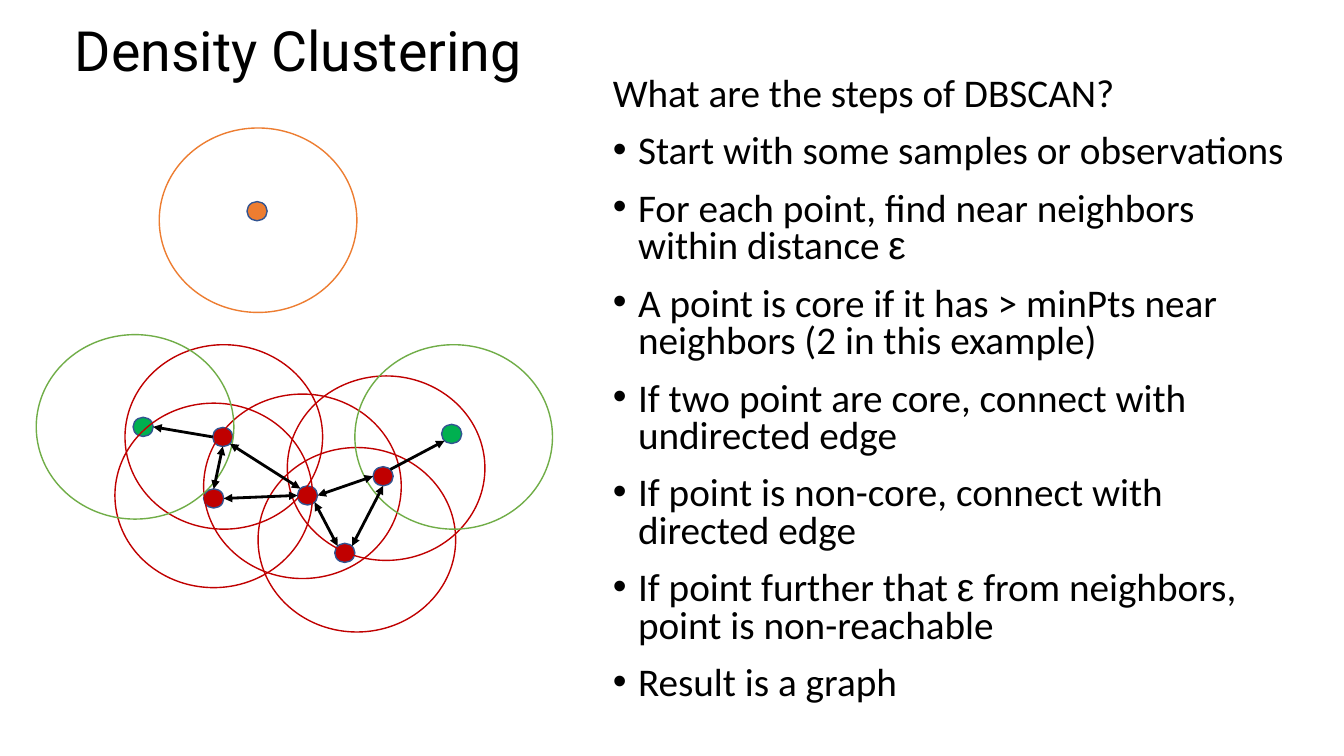
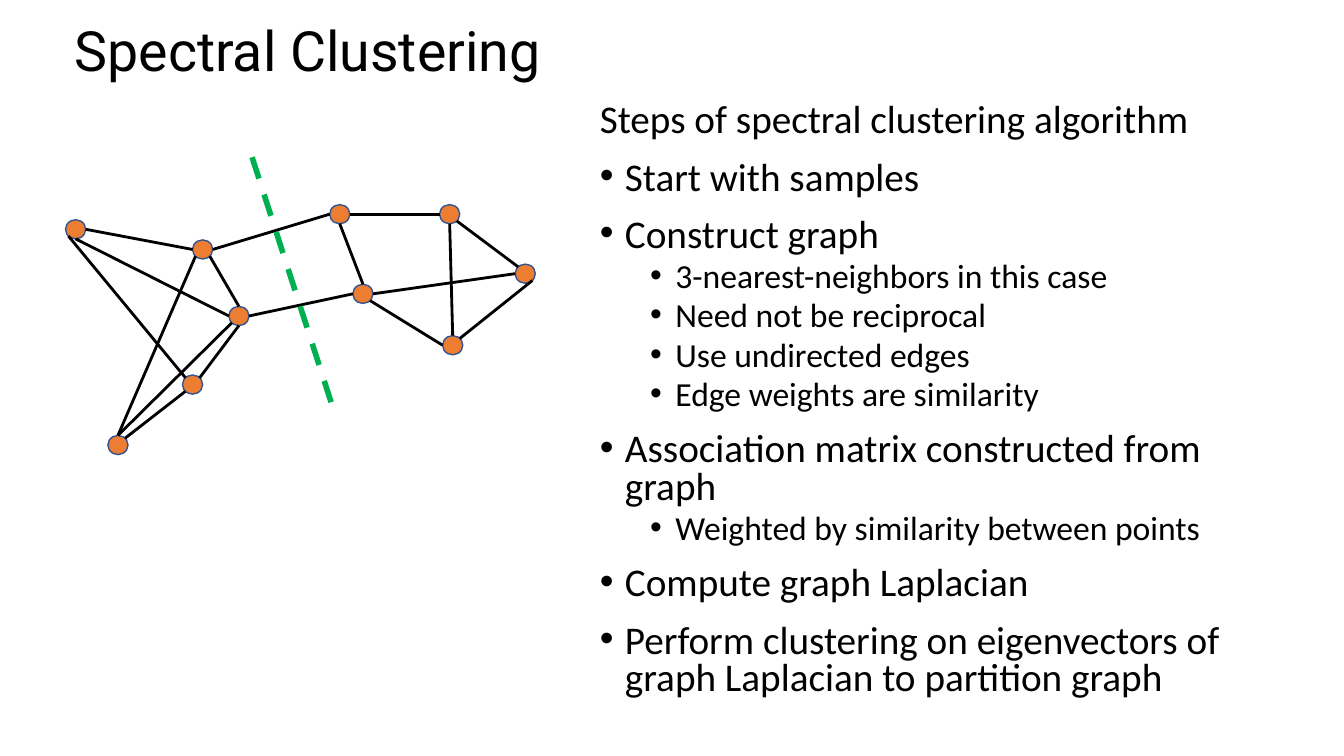
"""Build two slides on density and spectral clustering."""
from dataclasses import dataclass

from lxml.etree import SubElement
from pptx import Presentation
from pptx.dml.color import RGBColor
from pptx.enum.dml import MSO_LINE
from pptx.enum.shapes import MSO_CONNECTOR, MSO_SHAPE
from pptx.enum.text import MSO_ANCHOR, MSO_AUTO_SIZE, PP_ALIGN
from pptx.oxml.ns import qn
from pptx.util import Pt

PX = 9144
DOT_WIDTH, DOT_HEIGHT = 20, 19
RING_WIDTH, RING_HEIGHT = 196, 183
DIAGONAL = 0.71
SITES = {
    "top": (0, -1), "bottom": (0, 1), "left": (-1, 0), "right": (1, 0),
    "top left": (-DIAGONAL, -DIAGONAL), "top right": (DIAGONAL, -DIAGONAL),
    "bottom left": (-DIAGONAL, DIAGONAL), "bottom right": (DIAGONAL, DIAGONAL),
}


@dataclass(frozen=True)
class Theme:
    ink: str = "000000"
    dot_outline: str = "325491"
    core: str = "C00000"
    border: str = "00B050"
    border_ring: str = "70AD47"
    sample: str = "ED7D31"
    cut: str = "00B050"
    title_font: str = "Roboto"
    body_font: str = "Calibri"
    symbol_font: str = "Arial"
    title_size: float = 39.6
    body_sizes: tuple = (28, 24)
    space_before: tuple = (14, 5)
    indents: tuple = (25, 75)
    hanging: int = 25


class Deck:
    def __init__(self, theme):
        self.theme = theme
        self.presentation = Presentation()
        self.presentation.slide_width = 1333 * PX
        self.presentation.slide_height = 750 * PX
        self.slide = None

    def style_run(self, run, font, size):
        run.font.name = font
        run.font.size = Pt(size)
        run.font.color.rgb = RGBColor.from_string(self.theme.ink)

    def add_slide(self, heading):
        self.slide = self.presentation.slides.add_slide(self.presentation.slide_layouts[5])
        title = self.slide.shapes.title
        title.left, title.top, title.width, title.height = (n * PX for n in (64, 24, 1150, 58))
        frame = title.text_frame
        frame.text = heading
        frame.auto_size = MSO_AUTO_SIZE.NONE
        frame.vertical_anchor = MSO_ANCHOR.MIDDLE
        paragraph = frame.paragraphs[0]
        paragraph.alignment = PP_ALIGN.LEFT
        paragraph.line_spacing = 0.9
        self.style_run(paragraph.runs[0], self.theme.title_font, self.theme.title_size)

    def add_steps(self, box, question, steps):
        frame = self.slide.shapes.add_textbox(*(n * PX for n in box)).text_frame
        frame.word_wrap = True
        self.fill_paragraph(frame.paragraphs[0], question, 0)
        for level, step in steps:
            paragraph = frame.add_paragraph()
            self.fill_paragraph(paragraph, step, level)
            self.add_bullet(paragraph, level)

    def fill_paragraph(self, paragraph, wording, level):
        paragraph.level = level
        paragraph.line_spacing = 0.8
        paragraph.space_before = Pt(self.theme.space_before[level])
        for piece in filter(None, wording.partition("ε")):
            run = paragraph.add_run()
            run.text = piece
            font = self.theme.symbol_font if piece == "ε" else self.theme.body_font
            self.style_run(run, font, self.theme.body_sizes[level])

    def add_bullet(self, paragraph, level):
        properties = paragraph._p.get_or_add_pPr()
        properties.set("marL", str(self.theme.indents[level] * PX))
        properties.set("indent", str(-self.theme.hanging * PX))
        SubElement(properties, qn("a:buFont"), typeface=self.theme.symbol_font)
        SubElement(properties, qn("a:buChar"), char="•")

    def add_ellipse(self, left, top, width, height, outline, fill=None):
        ellipse = self.slide.shapes.add_shape(
            MSO_SHAPE.OVAL, *(n * PX for n in (left, top, width, height)))
        ellipse.shadow.inherit = False
        ellipse.line.color.rgb = RGBColor.from_string(outline)
        ellipse.line.width = Pt(1)
        if fill:
            ellipse.fill.solid()
            ellipse.fill.fore_color.rgb = RGBColor.from_string(fill)
        else:
            ellipse.fill.background()
        return ellipse

    def add_dot(self, left, top, fill):
        return self.add_ellipse(left, top, DOT_WIDTH, DOT_HEIGHT, self.theme.dot_outline, fill)

    def add_ring(self, left, top, outline):
        return self.add_ellipse(left, top, RING_WIDTH, RING_HEIGHT, outline)

    def add_line(self, start, end, color, width, dash=None, arrows=()):
        line = self.slide.shapes.add_connector(
            MSO_CONNECTOR.STRAIGHT, *(round(n) for n in (*start, *end)))
        line.line.color.rgb = RGBColor.from_string(color)
        line.line.width = Pt(width)
        if dash:
            line.line.dash_style = dash
        for arrow in arrows:
            SubElement(line.line._get_or_add_ln(), qn(f"a:{arrow}"), type="triangle")
        SubElement(line._element.spPr, qn("a:effectLst"))

    def add_edge(self, start, start_site, end, end_site, arrows=()):
        self.add_line(self.site(start, start_site), self.site(end, end_site),
                      self.theme.ink, 2, arrows=arrows)

    @staticmethod
    def site(dot, name):
        across, down = SITES[name]
        return (dot.left + dot.width * (1 + across) / 2,
                dot.top + dot.height * (1 + down) / 2)


def density_slide(deck):
    theme = deck.theme
    deck.add_slide("Density Clustering")
    deck.add_steps((598, 72, 699, 666), "What are the steps of DBSCAN?", [
        (0, "Start with some samples or observations"),
        (0, "For each point, find near neighbors within distance ε"),
        (0, "A point is core if it has > minPts near neighbors (2 in this example)"),
        (0, "If two point are core, connect with undirected edge"),
        (0, "If point is non-core, connect with directed edge"),
        (0, "If point further that ε from neighbors, point is non-reachable"),
        (0, "Result is a graph"),
    ])
    points = {
        "upper": (211, 424, theme.core), "lower": (202, 485, theme.core),
        "hub": (295, 482, theme.core), "east": (370, 463, theme.core),
        "south": (332, 539, theme.core), "west border": (132, 414, theme.border),
        "east border": (438, 421, theme.border), "outlier": (245, 200, theme.sample),
    }
    dots = {name: deck.add_dot(*point) for name, point in points.items()}
    neighborhoods = {
        theme.core: [(124, 342), (114, 400), (202, 391), (285, 373), (256, 444)],
        theme.border_ring: [(36, 332), (352, 342)],
        theme.sample: [(158, 127)],
    }
    for color, corners in neighborhoods.items():
        for left, top in corners:
            deck.add_ring(left, top, color)
    mutual = ("headEnd", "tailEnd")
    for start, start_site, end, end_site, arrows in [
        ("east", "bottom", "south", "top right", mutual),
        ("upper", "bottom", "lower", "top", mutual),
        ("upper", "bottom right", "hub", "top left", mutual),
        ("lower", "right", "hub", "left", mutual),
        ("hub", "right", "east", "left", mutual),
        ("hub", "bottom right", "south", "top left", mutual),
        ("upper", "left", "west border", "right", ("tailEnd",)),
        ("east", "top right", "east border", "bottom left", ("tailEnd",)),
    ]:
        deck.add_edge(dots[start], start_site, dots[end], end_site, arrows)


def spectral_slide(deck):
    theme = deck.theme
    deck.add_slide("Spectral Clustering")
    deck.add_steps((585, 98, 712, 613), "Steps of spectral clustering algorithm", [
        (0, "Start with samples"),
        (0, "Construct graph"),
        (1, "3-nearest-neighbors in this case"),
        (1, "Need not be reciprocal"),
        (1, "Use undirected edges"),
        (1, "Edge weights are similarity"),
        (0, "Association matrix constructed from graph"),
        (1, "Weighted by similarity between points"),
        (0, "Compute graph Laplacian"),
        (0, "Perform clustering on eigenvectors of graph Laplacian to partition graph"),
    ])
    samples = {
        "A": (65, 218), "B": (191, 238), "C": (107, 432), "D": (181, 372), "E": (227, 304),
        "F": (327, 203), "G": (350, 282), "H": (436, 203), "I": (439, 333), "J": (511, 262),
    }
    dots = {name: deck.add_dot(*corner, theme.sample) for name, corner in samples.items()}
    for start, start_site, end, end_site in [
        ("A", "right", "B", "left"),
        ("A", "bottom", "E", "left"),
        ("A", "bottom left", "D", "top left"),
        ("D", "top right", "E", "bottom"),
        ("C", "top right", "D", "bottom left"),
        ("E", "top", "B", "bottom right"),
        ("B", "bottom left", "C", "top"),
        ("E", "bottom left", "C", "top"),
        ("B", "right", "F", "left"),
        ("E", "right", "G", "left"),
        ("I", "left", "G", "bottom right"),
        ("G", "top", "F", "bottom"),
        ("I", "top", "H", "bottom"),
        ("I", "top right", "J", "bottom right"),
        ("H", "bottom right", "J", "top left"),
        ("F", "right", "H", "left"),
        ("G", "right", "J", "left"),
    ]:
        deck.add_edge(dots[start], start_site, dots[end], end_site)
    deck.add_line((250 * PX, 156 * PX), (330 * PX, 404 * PX), theme.cut, 4, MSO_LINE.DASH)


def main():
    deck = Deck(Theme())
    density_slide(deck)
    spectral_slide(deck)
    deck.presentation.save("out.pptx")


if __name__ == "__main__":
    main()
